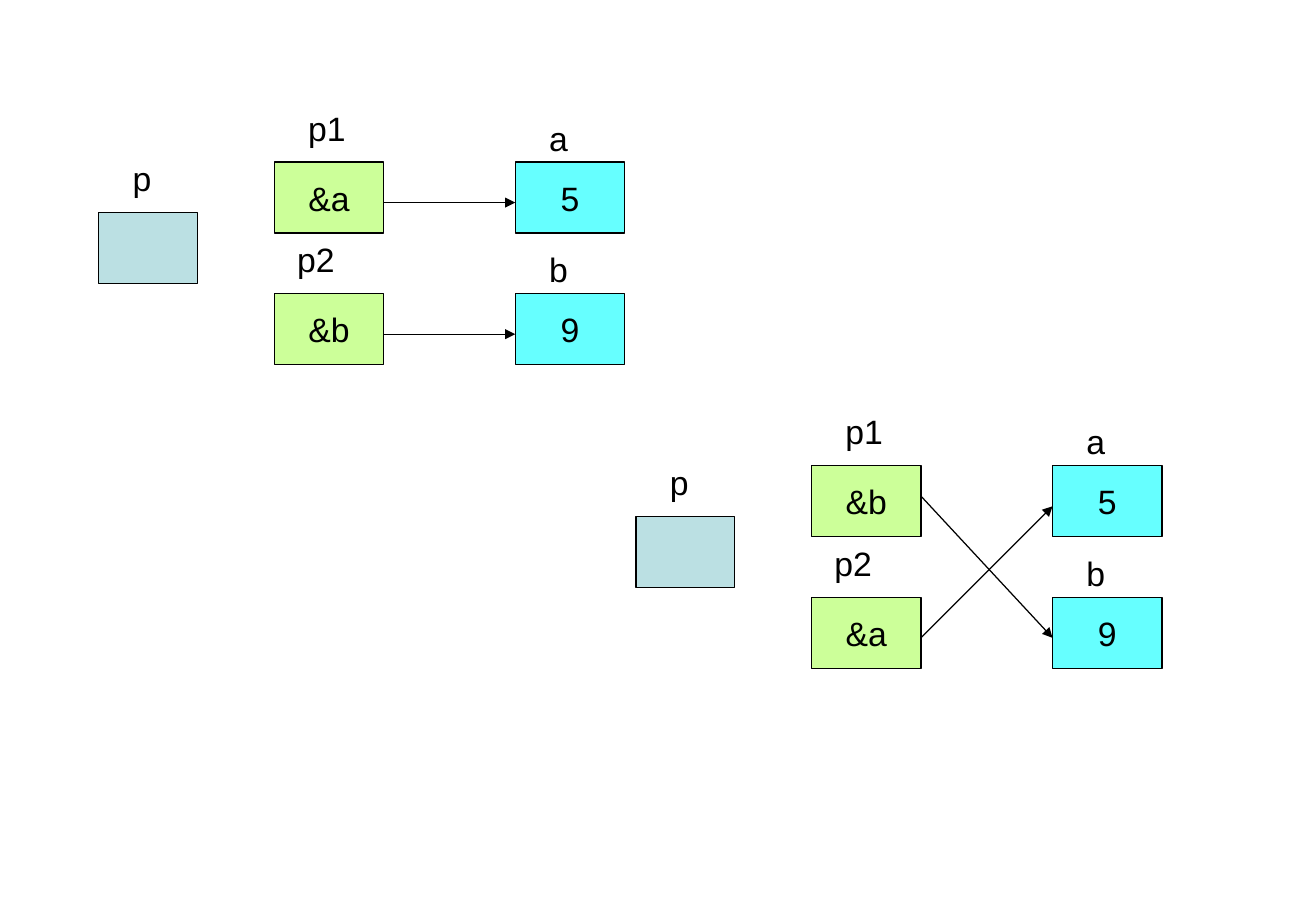
import pptx
import pptx.util
import pptx.dml.color
import pptx.enum.shapes
import pptx.enum.text
import pptx.oxml.ns
import lxml.etree

Pt = pptx.util.Pt
RGBColor = pptx.dml.color.RGBColor

BLACK = RGBColor(0x00, 0x00, 0x00)
LIME = RGBColor(0xCC, 0xFF, 0x99)
CYAN = RGBColor(0x66, 0xFF, 0xFF)
TEAL = RGBColor(0xBB, 0xE0, 0xE3)

# Columns and rows of a scene, measured from its own corner
PTR_X, VAL_X = 162.5, 305.5
ROWS = (96, 174)
CELL_W, CELL_H = 65, 42
TEMP_W = 58.5
LABELS = (
    ("p", 71.5, 90, 39),
    ("p1", 175.5, 60, 65),
    ("p2", 169, 138, 65),
    ("a", 318.5, 66, 39),
    ("b", 318.5, 144, 39),
)


def write(frame, text, align):
    para = frame.paragraphs[0]
    para.text = text
    para.alignment = align
    para.font.name = "Arial"
    para.font.size = Pt(20)
    para.font.color.rgb = BLACK


def add_cell(shapes, text, left, top, width, fill):
    cell = shapes.add_shape(pptx.enum.shapes.MSO_SHAPE.RECTANGLE,
                            Pt(left), Pt(top), Pt(width), Pt(CELL_H))
    cell.shadow.inherit = False
    cell.fill.solid()
    cell.fill.fore_color.rgb = fill
    cell.line.color.rgb = BLACK
    cell.line.width = Pt(0.75)
    if text:
        frame = cell.text_frame
        frame.word_wrap = False
        frame.vertical_anchor = pptx.enum.text.MSO_ANCHOR.MIDDLE
        write(frame, text, pptx.enum.text.PP_ALIGN.CENTER)


def add_label(shapes, text, left, top, width):
    box = shapes.add_textbox(Pt(left), Pt(top), Pt(width), Pt(31.5))
    box.text_frame.word_wrap = True
    write(box.text_frame, text, pptx.enum.text.PP_ALIGN.LEFT)


def add_arrow(shapes, x1, y1, x2, y2):
    arrow = shapes.add_connector(pptx.enum.shapes.MSO_CONNECTOR.STRAIGHT,
                                 Pt(x1), Pt(y1), Pt(x2), Pt(y2))
    arrow.line.color.rgb = BLACK
    arrow.line.width = Pt(0.75)
    qn = pptx.oxml.ns.qn
    props = arrow.element.spPr
    lxml.etree.SubElement(props.find(qn("a:ln")), qn("a:tailEnd"), type="triangle")
    lxml.etree.SubElement(props, qn("a:effectLst"))


def add_scene(slide, dx, dy, refs, links):
    shapes = slide.shapes.add_group_shape().shapes
    # Arrows from pointers to values
    for start, end in links:
        add_arrow(shapes, dx + PTR_X + CELL_W, dy + start, dx + VAL_X, dy + end)
    # Pointer and value cells
    for top, ref, value in zip(ROWS, refs, ("5", "9")):
        add_cell(shapes, ref, dx + PTR_X, dy + top, CELL_W, LIME)
        add_cell(shapes, value, dx + VAL_X, dy + top, CELL_W, CYAN)
    # Empty cell of p
    add_cell(shapes, "", dx + 58.5, dy + 126, TEMP_W, TEAL)
    # Variable names
    for text, left, top, width in LABELS:
        add_label(shapes, text, dx + left, dy + top, width)


def main():
    deck = pptx.Presentation()
    deck.slide_width = Pt(780.48)
    deck.slide_height = Pt(540)
    slide = deck.slides.add_slide(deck.slide_layouts[6])

    # Before the swap
    add_scene(slide, 0.1, 0.1, ("&a", "&b"), ((120, 120), (198, 198)))
    # After the swap
    add_scene(slide, 318.75, 180.1, ("&b", "&a"), ((198, 120), (114, 198)))

    deck.save("out.pptx")


if __name__ == "__main__":
    main()
